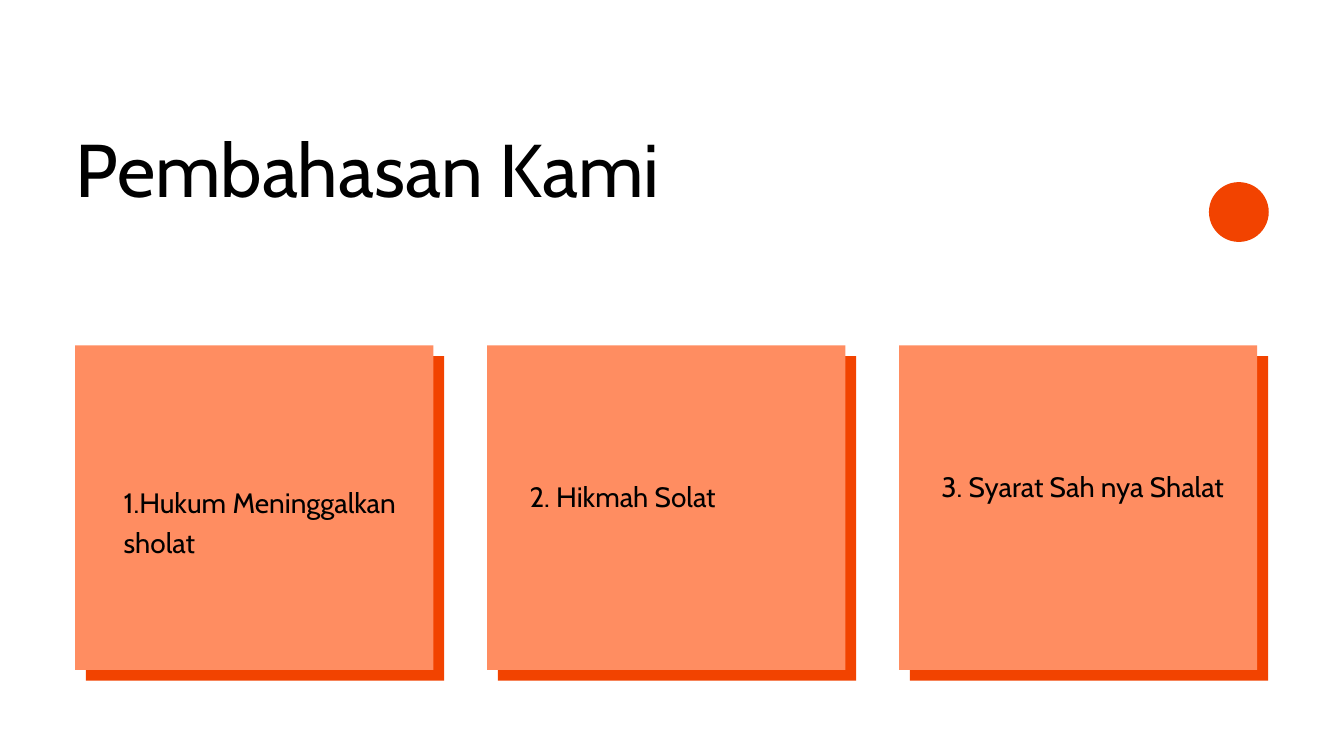
from dataclasses import dataclass

from pptx import Presentation
from pptx.dml.color import RGBColor
from pptx.enum.shapes import MSO_SHAPE
from pptx.enum.text import MSO_ANCHOR, MSO_AUTO_SIZE, PP_ALIGN
from pptx.util import Inches, Pt

RECTANGLE, OVAL = MSO_SHAPE.RECTANGLE, MSO_SHAPE.OVAL
TOP, LEFT, NO_FIT = MSO_ANCHOR.TOP, PP_ALIGN.LEFT, MSO_AUTO_SIZE.NONE


@dataclass(frozen=True)
class Theme:
    font: str = "Cabin"
    background: RGBColor = RGBColor(0xFF, 0xFF, 0xFF)
    ink: RGBColor = RGBColor(0, 0, 0)
    accent: RGBColor = RGBColor(0xF2, 0x43, 0x00)
    card: RGBColor = RGBColor(0xFF, 0x8D, 0x61)
    title_size: Pt = Pt(80)
    title_leading: Pt = Pt(84)
    topic_size: Pt = Pt(30)
    topic_leading: Pt = Pt(42.6)


theme = Theme()


def add_solid(kind, left, top, width, height, color):
    solid = slide.shapes.add_shape(
        kind, Inches(left), Inches(top), Inches(width), Inches(height))
    solid.shadow.inherit = False
    solid.fill.solid()
    solid.fill.fore_color.rgb = color
    solid.line.fill.background()


def write(box, words, size, leading):
    """Fill a box with one left-aligned paragraph and no margins."""
    frame = box.text_frame
    frame.word_wrap = True
    frame.auto_size = NO_FIT
    frame.vertical_anchor = TOP
    frame.margin_left = frame.margin_right = 0
    frame.margin_top = frame.margin_bottom = 0
    paragraph = frame.paragraphs[0]
    paragraph.alignment = LEFT
    paragraph.line_spacing = leading
    paragraph.space_before = Pt(0)
    run = paragraph.add_run()
    run.text = words
    run.font.name = theme.font
    run.font.size = size
    run.font.color.rgb = theme.ink


deck = Presentation()
deck.slide_width, deck.slide_height = Inches(20), Inches(11.25)
slide = deck.slides.add_slide(deck.slide_layouts.get_by_name("Title Only"))
slide.background.fill.solid()
slide.background.fill.fore_color.rgb = theme.background

title = slide.shapes.title
title.left, title.top = Inches(1.12), Inches(1.99)
title.width, title.height = Inches(11.62), Inches(1.23)
write(title, "Pembahasan Kami", theme.title_size, theme.title_leading)

# Topic, its inset from the card's left edge, its top and its height
topics = [
    ("1.Hukum Meninggalkan sholat", 0.72, 7.13, 1.12),
    ("2. Hikmah Solat", 0.63, 7.05, 0.54),
    ("3. Syarat Sah nya Shalat", 0.63, 6.9, 1.12),
]
card_left, card_top, card_pitch = 1.12, 5.14, 6.13
card_width, card_height, shade_offset = 5.33, 4.83, 0.16

for index, (topic, inset, topic_top, topic_height) in enumerate(topics):
    left = card_left + index * card_pitch
    for offset, color in ((shade_offset, theme.accent), (0, theme.card)):
        add_solid(RECTANGLE, left + offset, card_top + offset,
                  card_width, card_height, color)
    topic_box = slide.shapes.add_textbox(
        Inches(left + inset), Inches(topic_top), Inches(4.23), Inches(topic_height))
    write(topic_box, topic, theme.topic_size, theme.topic_leading)

add_solid(OVAL, 17.99, 2.71, 0.89, 0.89, theme.accent)

deck.save("out.pptx")
